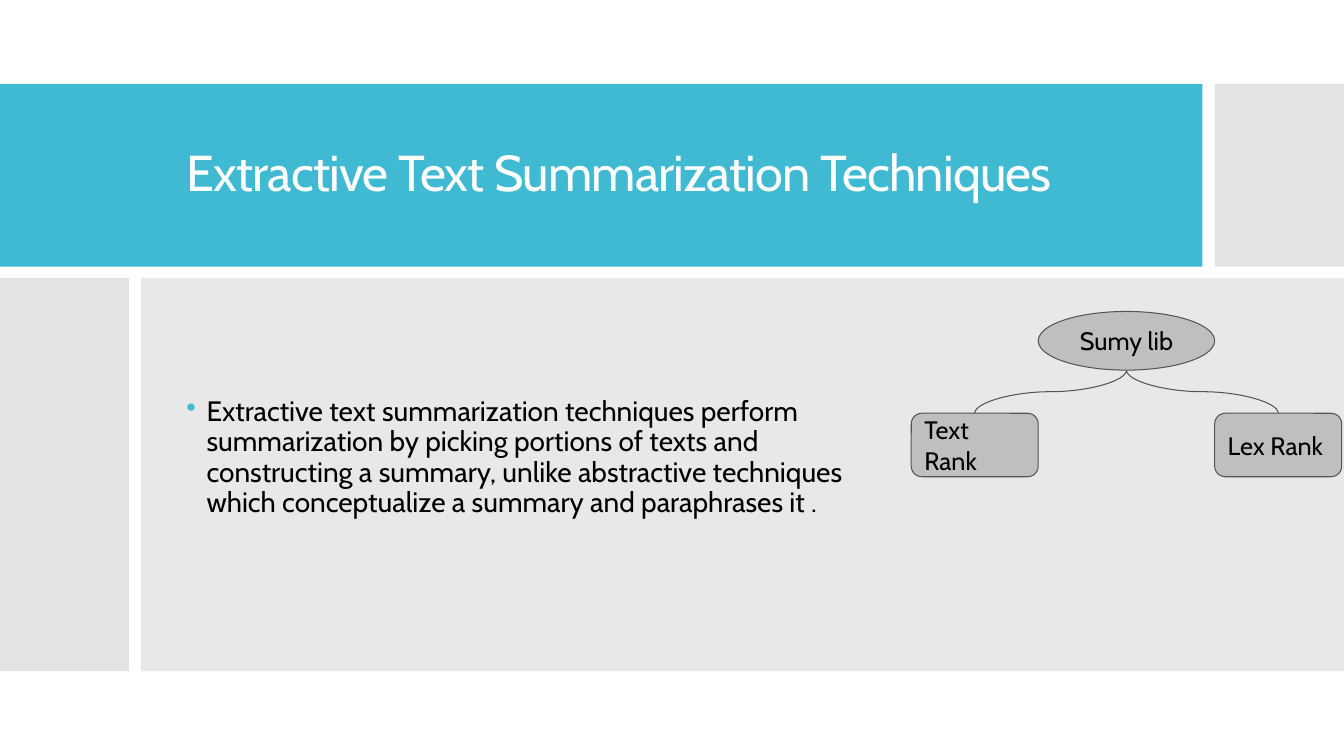
from collections import namedtuple

from lxml import etree
from pptx import Presentation
from pptx.dml.color import RGBColor
from pptx.enum.shapes import MSO_CONNECTOR, MSO_SHAPE
from pptx.enum.text import MSO_ANCHOR, PP_ALIGN
from pptx.oxml.ns import qn
from pptx.util import Inches, Pt

FONT = "Cabin"
COLORS = {
    "accent": "40BAD2",
    "side": "C8C8C8",
    "panel": "D9D9D9",
    "node": "BFBFBF",
    "line": "545454",
    "text": "000000",
    "title": "FFFFFF",
}
Box = namedtuple("Box", "x y w h")


def part(box, x, y, w, h):
    """Return the part of a box whose place and size are percentages of it."""
    return Box(int(box.x + box.w * x / 100), int(box.y + box.h * y / 100),
               int(box.w * w / 100), int(box.h * h / 100))


def rgb(name):
    return RGBColor.from_string(COLORS[name])


def add_block(s, kind, box, color, alpha=100):
    """Add a filled shape without outline or shadow; alpha is in percent."""
    sp = s.shapes.add_shape(kind, *box)
    sp.shadow.inherit = False
    sp.fill.solid()
    sp.fill.fore_color.rgb = rgb(color)
    sp.line.fill.background()
    if alpha < 100:
        clr = sp.fill._xPr.find(".//" + qn("a:srgbClr"))
        etree.SubElement(clr, qn("a:alpha"), val=str(alpha * 1000))
    return sp


def write(sp, text, size, color, align=PP_ALIGN.LEFT):
    """Fill a shape with one vertically centred paragraph and return it."""
    tf = sp.text_frame
    tf.word_wrap = True
    tf.vertical_anchor = MSO_ANCHOR.MIDDLE
    p = tf.paragraphs[0]
    p.text = text
    p.alignment = align
    font = p.runs[0].font
    font.name, font.size, font.color.rgb = FONT, Pt(size), rgb(color)
    return p


def add_title_band(s, box, title):
    add_block(s, MSO_SHAPE.RECTANGLE, part(box, 0, 0, 89.47, 100), "accent")
    add_block(s, MSO_SHAPE.RECTANGLE, part(box, 90.38, 0, 9.62, 100), "side", 50)
    sp = s.shapes.add_textbox(*part(box, 13.13, 20, 73.65, 60))
    p = write(sp, title, 36, "title")
    p.line_spacing = 0.9
    p.runs[0].font._element.set("spc", "-60")


def add_body_band(s, box, text):
    add_block(s, MSO_SHAPE.RECTANGLE, part(box, 0, 0, 9.6, 100), "side", 50)
    add_block(s, MSO_SHAPE.RECTANGLE, part(box, 10.5, 0, 89.5, 100), "panel", 60)
    sp = s.shapes.add_textbox(*part(box, 13.13, 0, 54.68, 91.5))
    p = write(sp, text, 20, "text")
    p.line_spacing = 0.9
    pPr = p._p.get_or_add_pPr()
    pPr.set("marL", str(Inches(0.2)))
    pPr.set("indent", str(Inches(-0.2)))
    bullet_color = etree.SubElement(pPr, qn("a:buClr"))
    etree.SubElement(bullet_color, qn("a:srgbClr"), val=COLORS["accent"])
    etree.SubElement(pPr, qn("a:buChar"), char="•")


def outline(sp):
    sp.line.color.rgb = rgb("line")
    sp.line.width = Pt(0.75)


def add_node(s, kind, box, text, align):
    sp = add_block(s, kind, box, "node")
    outline(sp)
    write(sp, text, 18, "text", align)
    tf = sp.text_frame
    tf.margin_left = tf.margin_right = tf.margin_top = tf.margin_bottom = Inches(0.1)
    return sp


def add_branch(s, parent, child):
    """Curve from the bottom of the parent to the top of the child."""
    x1, y1 = parent.left + parent.width // 2, parent.top + parent.height
    x2, y2 = child.left + child.width // 2, child.top
    drop, half_span = y2 - y1, abs(x2 - x1) // 2
    mid_x, mid_y = (x1 + x2) // 2, (y1 + y2) // 2
    # A curve leaves its start sideways, so it is laid out flat and then turned.
    to_right = x2 > x1
    half_drop = drop // 2 * (-1 if to_right else 1)
    cx = s.shapes.add_connector(MSO_CONNECTOR.CURVE,
                                mid_x - half_drop, mid_y - half_span,
                                mid_x + half_drop, mid_y + half_span)
    degrees = 270 if to_right else 90
    cx._element.spPr.find(qn("a:xfrm")).set("rot", str(degrees * 60000))
    outline(cx)
    etree.SubElement(cx._element.spPr, qn("a:effectLst"))


def add_tree(s, box, root, leaves):
    parent = add_node(s, MSO_SHAPE.OVAL, part(box, 29.5, 0, 41, 35.5),
                      root, PP_ALIGN.CENTER)
    leaf_w = 29.5
    step = (100 - leaf_w) / (len(leaves) - 1)
    for i, leaf in enumerate(leaves):
        child = add_node(s, MSO_SHAPE.ROUNDED_RECTANGLE,
                         part(box, i * step, 61.6, leaf_w, 38.4),
                         leaf, PP_ALIGN.LEFT)
        add_branch(s, parent, child)


def main():
    prs = Presentation()
    prs.slide_width, prs.slide_height = Inches(13.33), Inches(7.5)
    s = prs.slides.add_slide(prs.slide_layouts[6])
    page = Box(0, 0, prs.slide_width, prs.slide_height)
    body = part(page, 0, 36.8, 100, 52)
    add_title_band(s, part(page, 0, 11.11, 100, 24.15),
                   "Extractive Text Summarization Techniques")
    add_body_band(s, body,
                  "Extractive text summarization techniques perform summarization "
                  "by picking portions of texts and constructing a summary, unlike "
                  "abstractive techniques which conceptualize a summary and "
                  "paraphrases it .")
    add_tree(s, part(body, 67.8, 8.46, 32.03, 42.05),
             "Sumy lib", ["Text Rank", "Lex Rank"])
    prs.save("out.pptx")


if __name__ == "__main__":
    main()
